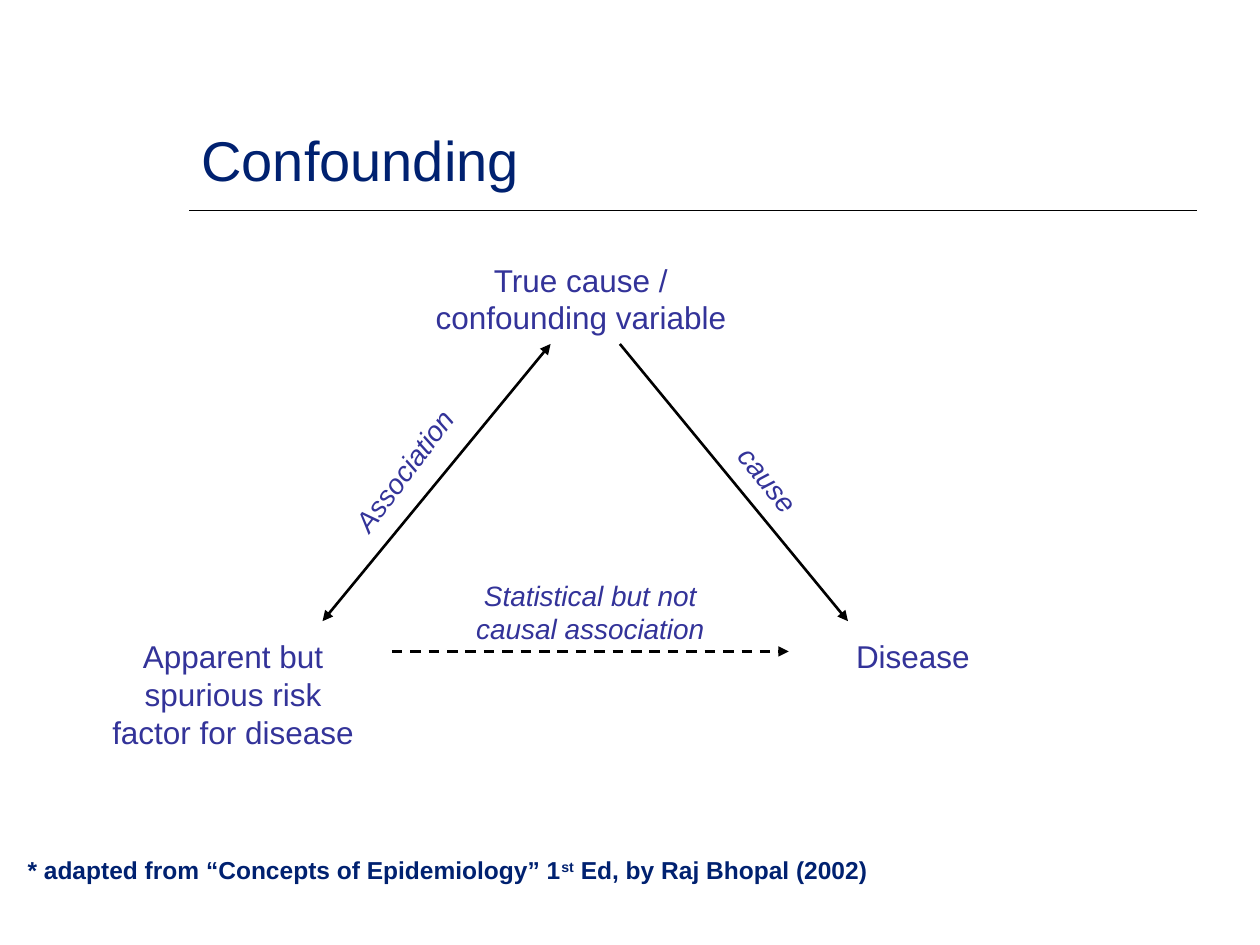
import pptx
import pptx.dml.color
import pptx.enum.dml
import pptx.enum.shapes
import pptx.enum.text
import pptx.oxml.ns
import pptx.util
from lxml import etree

COLORS = {"navy": "002170", "indigo": "333399", "black": "000000", "white": "FFFFFF"}
COLS, ROWS = 100, 75  # grid over the slide
AXIS = 46.45  # column on which the two slanted arrows mirror


def color(name):
    return pptx.dml.color.RGBColor.from_string(COLORS[name])


def write(para, text, size=18, ink="indigo", bold=False, italic=False, rise=0):
    """Add one run; rise is the superscript height in percent."""
    run = para.add_run()
    run.text = text
    font = run.font
    font.name, font.size = "Arial", pptx.util.Pt(size)
    font.bold, font.italic = bold, italic
    font.color.rgb = color(ink)
    if rise:
        run._r.get_or_add_rPr().set("baseline", str(rise * 1000))


class Deck:
    def __init__(self, width, height):
        self.prs = pptx.Presentation()
        self.prs.slide_width = pptx.util.Inches(width)
        self.prs.slide_height = pptx.util.Inches(height)
        self.slide = self.prs.slides.add_slide(self.prs.slide_layouts[6])
        fill = self.slide.background.fill
        fill.solid()
        fill.fore_color.rgb = color("white")

    def x(self, col):
        return round(self.prs.slide_width * col / COLS)

    def y(self, row):
        return round(self.prs.slide_height * row / ROWS)

    def text(self, col, row, wide, high, parts, align="CENTER", anchor="TOP",
             turn=0, **style):
        """Place a text box; parts is a string or a list of (string, format)."""
        box = self.slide.shapes.add_textbox(
            self.x(col), self.y(row), self.x(wide), self.y(high))
        box.rotation = turn
        frame = box.text_frame
        frame.word_wrap = True
        frame.vertical_anchor = getattr(pptx.enum.text.MSO_ANCHOR, anchor)
        para = frame.paragraphs[0]
        para.alignment = getattr(pptx.enum.text.PP_ALIGN, align)
        if isinstance(parts, str):
            parts = [(parts, {})]
        for words, extra in parts:
            write(para, words, **style, **extra)

    def line(self, start, end, width=1.5, dash=False, heads=()):
        """Draw a line; heads lists the ends, headEnd or tailEnd, with arrows."""
        wire = self.slide.shapes.add_connector(
            pptx.enum.shapes.MSO_CONNECTOR.STRAIGHT,
            self.x(start[0]), self.y(start[1]), self.x(end[0]), self.y(end[1]))
        wire.line.color.rgb = color("black")
        wire.line.width = pptx.util.Pt(width)
        if dash:
            wire.line.dash_style = pptx.enum.dml.MSO_LINE.DASH
        qn = pptx.oxml.ns.qn
        props = wire._element.spPr
        for head in heads:
            etree.SubElement(props.find(qn("a:ln")), qn("a:" + head), type="triangle")
        etree.SubElement(props, qn("a:effectLst"))


def main():
    deck = Deck(10, 7.5)

    deck.line((15, 16.7), (95, 16.7), width=1)
    deck.text(15, 3.3, 80, 12.5, "Confounding", align="LEFT", anchor="BOTTOM",
              size=32, ink="navy")

    near, far, top, foot = 2.75, 20.85, 27.3, 49.3
    deck.line((AXIS + near, top), (AXIS + far, foot), heads=["tailEnd"])
    deck.line((AXIS - near, top), (AXIS - far, foot), heads=["headEnd", "tailEnd"])
    deck.line((31.1, 51.7), (62.6, 51.7), dash=True, heads=["tailEnd"])

    for col, row, wide, high, words in [
        (32.7, 20.2, 26.8, 7, "True cause / confounding variable"),
        (7.5, 50.1, 22, 10, "Apparent but spurious risk factor for disease"),
        (63.4, 50.1, 18.1, 4, "Disease"),
    ]:
        deck.text(col, row, wide, high, words)

    for col, row, wide, high, turn, words in [
        (23, 35.5, 18.1, 3.7, 307, "Association"),
        (51.9, 36.2, 18.1, 3.7, 51, "cause"),
        (36.6, 45.4, 20.5, 6.4, 0, "Statistical but not causal association"),
    ]:
        deck.text(col, row, wide, high, words, turn=turn, size=16, italic=True)

    deck.text(1.2, 67.4, 74.8, 3.4, [
        ("* adapted from “Concepts of Epidemiology” 1", {}),
        ("st", {"rise": 30}),
        (" Ed, by Raj Bhopal (2002)", {}),
    ], align="LEFT", size=14, ink="navy", bold=True)

    deck.prs.save("out.pptx")


if __name__ == "__main__":
    main()
